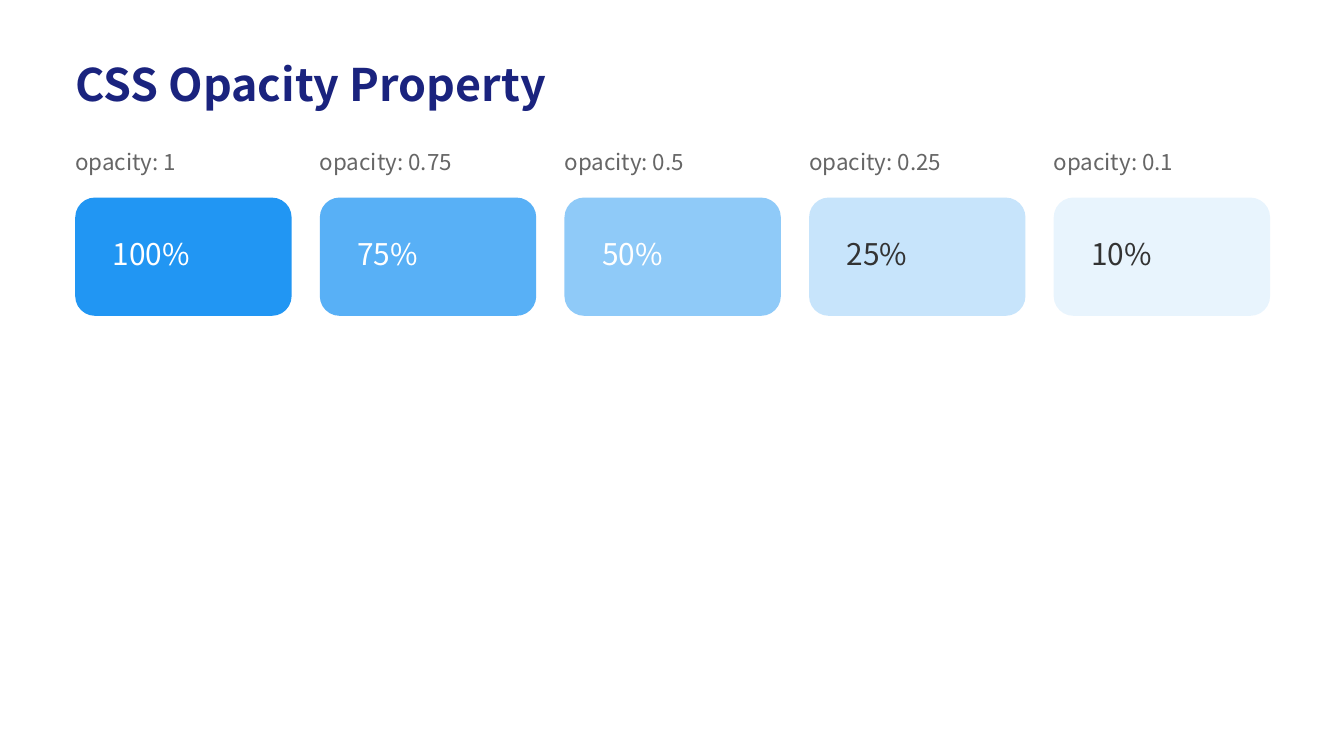
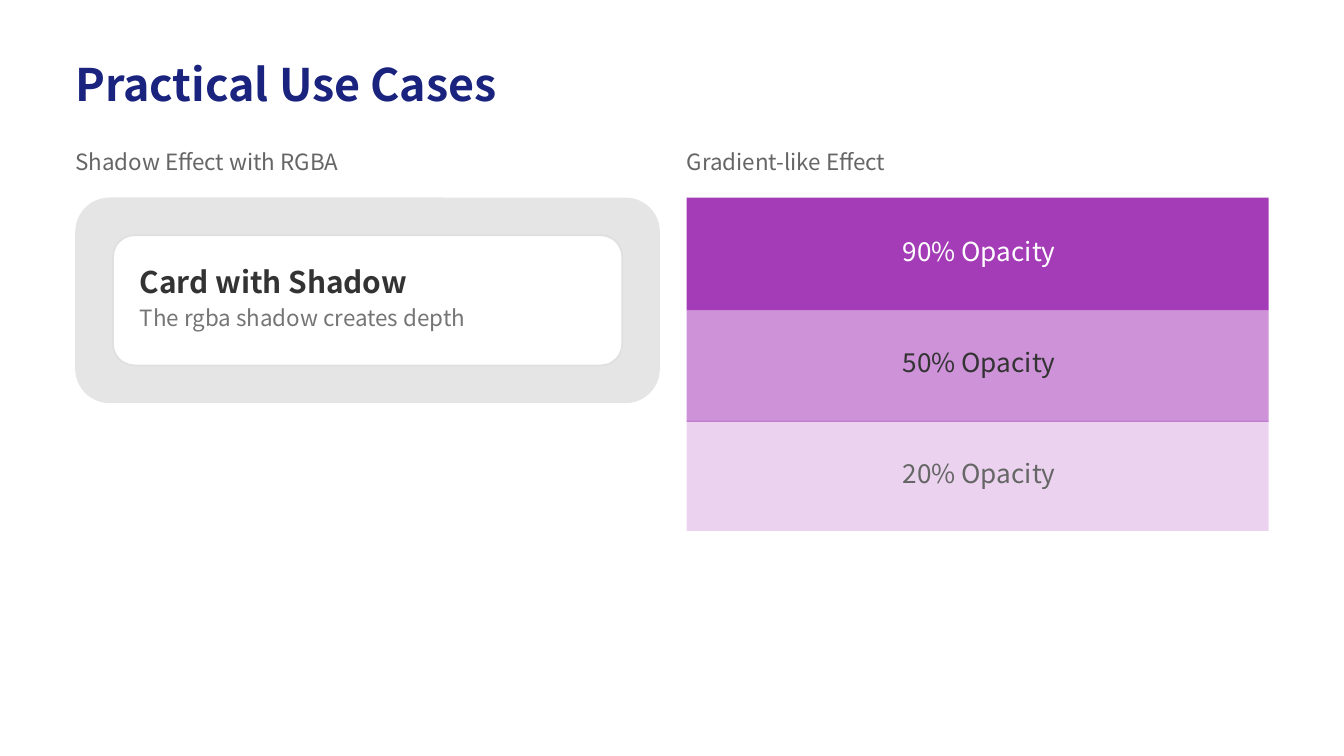
from typing import NamedTuple

from lxml import etree
from pptx import Presentation
from pptx import util as u
from pptx.dml.color import RGBColor
from pptx.enum import shapes, text
from pptx.oxml.ns import qn
from pptx.shapes.autoshape import Shape
from pptx.slide import Slide
from pptx.text.text import TextFrame

FONT = "Noto Sans CJK SC"
NAVY, BLUE, PURPLE = "1A237E", "2196F3", "9C27B0"
DARK, GRAY, LIGHT_GRAY = "333333", "666666", "757575"
WHITE, BLACK, BORDER = "FFFFFF", "000000", "E0E0E0"

LEFT, RIGHT_COLUMN = 0.56, 5.11
LABEL_TOP, PANEL_TOP = 1.1, 1.47
PADDING = 0.28
ROUNDED = shapes.MSO_SHAPE.ROUNDED_RECTANGLE
RECTANGLE = shapes.MSO_SHAPE.RECTANGLE


class Box(NamedTuple):
    left: float
    top: float
    width: float
    height: float


class TextStyle(NamedTuple):
    size: int
    color: str
    bold: bool = False
    align: text.PP_ALIGN = text.PP_ALIGN.LEFT


class Swatch(NamedTuple):
    opacity: str
    percent: int
    text_color: str


class Band(NamedTuple):
    top: float
    height: float
    text_top: float
    percent: int
    text_color: str


TITLE = TextStyle(24, NAVY, bold=True)
LABEL = TextStyle(12, GRAY)

SWATCHES = [
    Swatch("1", 100, WHITE),
    Swatch("0.75", 75, WHITE),
    Swatch("0.5", 50, WHITE),
    Swatch("0.25", 25, DARK),
    Swatch("0.1", 10, DARK),
]
BANDS = [
    Band(PANEL_TOP, 0.84, 1.75, 90, WHITE),
    Band(2.31, 0.83, 2.58, 50, DARK),
    Band(3.13, 0.82, 3.4, 20, GRAY),
]


def rgb(color: str) -> RGBColor:
    return RGBColor.from_string(color)


def place(shape: Shape, box: Box) -> None:
    shape.left, shape.top, shape.width, shape.height = map(u.Inches, box)


def write(frame: TextFrame, words: str, style: TextStyle) -> None:
    frame.word_wrap = True
    frame.auto_size = text.MSO_AUTO_SIZE.NONE
    frame.vertical_anchor = text.MSO_ANCHOR.TOP
    frame.margin_left = frame.margin_right = 0
    frame.margin_top = frame.margin_bottom = 0
    paragraph = frame.paragraphs[0]
    paragraph.alignment = style.align
    run = paragraph.add_run()
    run.text = words
    run.font.name = FONT
    run.font.size = u.Pt(style.size)
    run.font.bold = style.bold
    run.font.color.rgb = rgb(style.color)


def add_text(slide: Slide, box: Box, words: str, style: TextStyle) -> None:
    shape = slide.shapes.add_textbox(*map(u.Inches, box))
    write(shape.text_frame, words, style)


def add_panel(slide: Slide, preset: shapes.MSO_SHAPE, box: Box, color: str,
              percent: int = 100, border: str = "") -> None:
    """Draw a filled shape whose opacity is given in percent."""
    shape = slide.shapes.add_shape(preset, *map(u.Inches, box))
    shape.shadow.inherit = False
    shape.fill.solid()
    shape.fill.fore_color.rgb = rgb(color)
    if percent < 100:
        fill_color = shape.fill._xPr.find(qn("a:solidFill"))[0]
        alpha = etree.SubElement(fill_color, qn("a:alpha"))
        alpha.set("val", str(percent * 1000))
    if border:
        shape.line.color.rgb = rgb(border)
        shape.line.width = u.Pt(1)
    else:
        shape.line.fill.background()


def add_titled_slide(presentation: Presentation, title: str) -> Slide:
    slide = presentation.slides.add_slide(presentation.slide_layouts[5])
    place(slide.shapes.title, Box(LEFT, 0.42, 8.89, 0.47))
    write(slide.shapes.title.text_frame, title, TITLE)
    return slide


def add_label(slide: Slide, left: float, width: float, words: str) -> None:
    add_text(slide, Box(left, LABEL_TOP, width, 0.25), words, LABEL)


def add_opacity_slide(presentation: Presentation) -> None:
    slide = add_titled_slide(presentation, "CSS Opacity Property")
    width, pitch = 1.61, 1.82
    for index, swatch in enumerate(SWATCHES):
        left = LEFT + index * pitch
        add_label(slide, left, width, f"opacity: {swatch.opacity}")
        add_panel(slide, ROUNDED, Box(left, PANEL_TOP, width, 0.88),
                  BLUE, swatch.percent)
        add_text(slide, Box(left + PADDING, PANEL_TOP + PADDING, 1.06, 0.32),
                 f"{swatch.percent}%", TextStyle(16, swatch.text_color))


def add_shadow_card(slide: Slide) -> None:
    width = 4.35
    add_label(slide, LEFT, width, "Shadow Effect with RGBA")
    add_panel(slide, ROUNDED, Box(LEFT, PANEL_TOP, width, 1.53), BLACK, 10)
    card = Box(LEFT + PADDING, PANEL_TOP + PADDING, width - 2 * PADDING, 0.97)
    add_panel(slide, ROUNDED, card, WHITE, border=BORDER)
    text_left, text_width = 1.04, 3.38
    add_text(slide, Box(text_left, 1.96, text_width, 0.32),
             "Card with Shadow", TextStyle(16, DARK, bold=True))
    add_text(slide, Box(text_left, 2.26, text_width, 0.25),
             "The rgba shadow creates depth", TextStyle(12, LIGHT_GRAY))


def add_bands(slide: Slide) -> None:
    width = 4.33
    add_label(slide, RIGHT_COLUMN, 4.35, "Gradient-like Effect")
    for band in BANDS:
        add_panel(slide, RECTANGLE,
                  Box(RIGHT_COLUMN, band.top, width, band.height),
                  PURPLE, band.percent)
        caption = Box(RIGHT_COLUMN + PADDING, band.text_top, 3.79, 0.28)
        add_text(slide, caption, f"{band.percent}% Opacity",
                 TextStyle(14, band.text_color, align=text.PP_ALIGN.CENTER))


def main() -> None:
    presentation = Presentation()
    presentation.slide_width = u.Inches(10)
    presentation.slide_height = u.Inches(10 * 9 / 16)
    add_opacity_slide(presentation)
    use_cases = add_titled_slide(presentation, "Practical Use Cases")
    add_shadow_card(use_cases)
    add_bands(use_cases)
    presentation.save("out.pptx")


if __name__ == "__main__":
    main()
